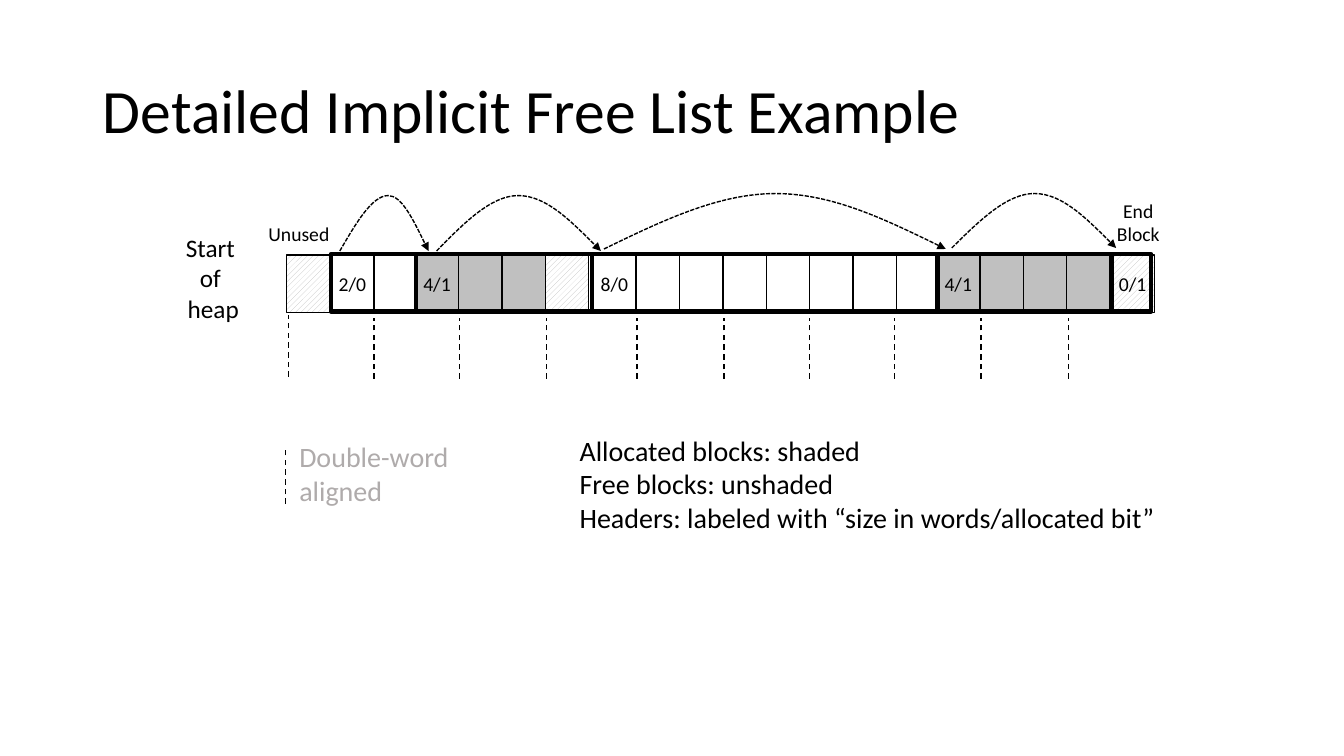
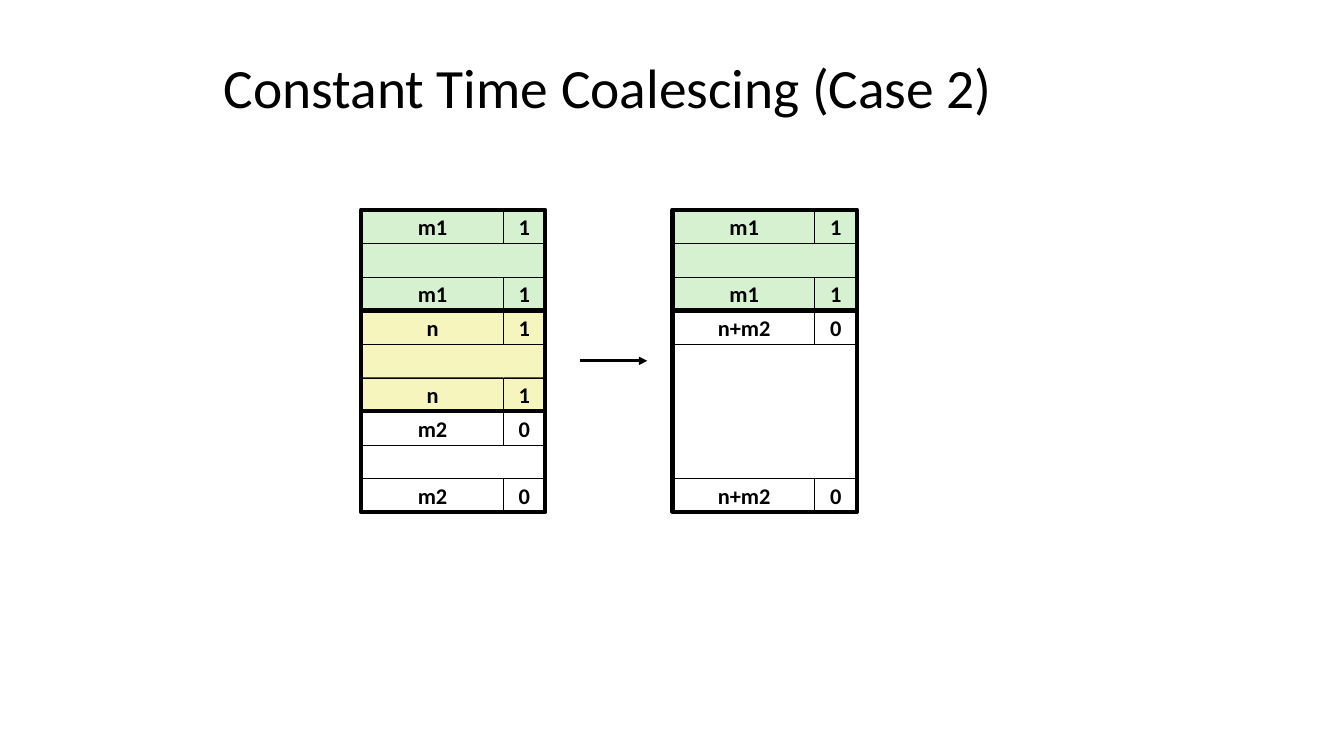
from lxml import etree
from pptx import Presentation
from pptx.dml.color import RGBColor
from pptx.enum.dml import MSO_LINE, MSO_PATTERN
from pptx.enum.shapes import MSO_CONNECTOR, MSO_SHAPE
from pptx.enum.text import MSO_ANCHOR, MSO_AUTO_SIZE, PP_ALIGN
from pptx.oxml.ns import qn
from pptx.util import Inches, Pt

BLACK = RGBColor(0x00, 0x00, 0x00)
WHITE = RGBColor(0xFF, 0xFF, 0xFF)
SHADED = RGBColor(0xC0, 0xC0, 0xC0)
MUTED = RGBColor(0xAF, 0xAB, 0xAB)
GREEN = RGBColor(0xD5, 0xF1, 0xCF)
YELLOW = RGBColor(0xF6, 0xF5, 0xBD)
HATCH = MSO_PATTERN.WIDE_UPWARD_DIAGONAL
RECT = MSO_SHAPE.RECTANGLE
STRAIGHT = MSO_CONNECTOR.STRAIGHT
DASH = MSO_LINE.DASH
SHORT_DASH = MSO_LINE.SQUARE_DOT
LEFT = PP_ALIGN.LEFT
CENTER = PP_ALIGN.CENTER
TOP = MSO_ANCHOR.TOP
MIDDLE = MSO_ANCHOR.MIDDLE
FONT = "Calibri"


def add_box(s, left, top, width, height, fill, weight, text="", size=14, bold=False):
    sp = s.shapes.add_shape(RECT, Inches(left), Inches(top), Inches(width), Inches(height))
    sp.shadow.inherit = False
    sp.line.color.rgb = BLACK
    sp.line.width = Pt(weight)
    if fill is None:
        sp.fill.background()
    elif fill == HATCH:
        sp.fill.patterned()
        sp.fill.pattern = HATCH
        sp.fill.fore_color.rgb = SHADED
        sp.fill.back_color.rgb = WHITE
    else:
        sp.fill.solid()
        sp.fill.fore_color.rgb = fill
    if text:
        tf = sp.text_frame
        tf.word_wrap = False
        tf.vertical_anchor = MIDDLE
        p = tf.paragraphs[0]
        p.text = text
        p.alignment = CENTER
        p.font.name = FONT
        p.font.size = Pt(size)
        p.font.bold = bold
        p.font.color.rgb = BLACK


def style_line(sp, weight, dash=None, arrow=False):
    sp.line.color.rgb = BLACK
    sp.line.width = Pt(weight)
    if dash:
        sp.line.dash_style = dash
    spPr = sp._element.spPr
    if arrow:
        etree.SubElement(spPr.find(qn("a:ln")), qn("a:tailEnd"), type="triangle")
    etree.SubElement(spPr, qn("a:effectLst"))


prs = Presentation()
prs.slide_width = Inches(13.33)
prs.slide_height = Inches(7.5)

titles = [
    ("Detailed Implicit Free List Example", 0.92, 0.4, 11.5, 1.45, 44),
    ("Constant Time Coalescing (Case 2)", 2.12, 0.58, 9.08, 0.63, 39.6),
]
for text, left, top, width, height, size in titles:
    s = prs.slides.add_slide(prs.slide_layouts[5])
    title = s.shapes.title
    title.left, title.top = Inches(left), Inches(top)
    title.width, title.height = Inches(width), Inches(height)
    tf = title.text_frame
    tf.text = text
    tf.auto_size = MSO_AUTO_SIZE.NONE
    tf.vertical_anchor = MIDDLE
    p = tf.paragraphs[0]
    p.alignment = LEFT
    p.line_spacing = 0.9
    p.font.name = FONT
    p.font.size = Pt(size)
    p.font.color.rgb = BLACK

heap, coalescing = prs.slides

CELL = 0.43
CELL_H = 0.57
heap_blocks = [
    ("2/0", 3.28, [WHITE] * 2, 3.28, 0.85),
    ("4/1", 4.12, [SHADED] * 3 + [HATCH], 4.13, 1.74),
    ("8/0", 5.88, [WHITE] * 8, 5.87, 3.43),
    ("4/1", 9.29, [SHADED] * 4, 9.3, 1.73),
    ("0/1", 11.02, [HATCH], 11.02, 0.4),
]
add_box(heap, 2.84, 2.53, CELL, CELL_H, HATCH, 1)
for label, left, fills, _, _ in heap_blocks:
    for i, fill in enumerate(fills):
        add_box(heap, left + i * CELL, 2.53, CELL, CELL_H, fill, 1, label if i == 0 else "")
for _, _, _, left, width in heap_blocks:
    add_box(heap, left, 2.52, width, CELL_H, None, 3)

arcs = [
    (3.37, 3.85, 4.25, 1.94, 2.49),
    (4.33, 5.14, 5.96, 1.94, 2.49),
    (5.99, 7.69, 9.38, 1.92, 2.47),
    (9.44, 10.26, 11.07, 1.92, 2.46),
]
for x0, apex, x1, top, base in arcs:
    mid = (top + base) / 2
    rise, fall = (apex - x0) / 3, (x1 - apex) / 3
    points = [
        (x0 + rise, mid), (x0 + 2 * rise, top), (apex, top),
        (apex + fall, top), (apex + 2 * fall, mid), (x1, base),
    ]
    builder = heap.shapes.build_freeform(Inches(x0), Inches(base))
    builder.add_line_segments([(Inches(x), Inches(y)) for x, y in points], close=False)
    arc = builder.convert_to_shape()
    arc.fill.background()
    segments = list(arc._element.iter(qn("a:lnTo")))
    outline = segments[0].getparent()
    for i in (0, 3):
        curve = etree.SubElement(outline, qn("a:cubicBezTo"))
        for segment in segments[i:i + 3]:
            curve.append(segment[0])
            outline.remove(segment)
    style_line(arc, 1, SHORT_DASH, arrow=True)

ticks = [(x, 3.76, 3.15) for x in (3.71, 4.56, 5.42, 6.32, 7.18, 8.03, 8.87, 9.73, 10.6)]
for x, y0, y1 in [(2.86, 3.74, 3.13), *ticks, (2.83, 5, 4.45)]:
    tick = heap.shapes.add_connector(STRAIGHT, Inches(x), Inches(y0), Inches(x), Inches(y1))
    style_line(tick, 1, DASH)

labels = [
    (["Start ", "of ", "heap"], 1.74, 2.25, 0.75, 1.01, 18, BLACK, CENTER, MIDDLE),
    (["Unused"], 2.56, 2.15, 0.81, 0.34, 14, BLACK, CENTER, MIDDLE),
    (["End", "Block"], 10.97, 1.92, 0.64, 0.57, 14, BLACK, CENTER, MIDDLE),
    (["Double-word", "aligned"], 2.87, 4.31, 2.04, 0.77, 20, MUTED, LEFT, MIDDLE),
    (["Allocated blocks: shaded", "Free blocks: unshaded",
      "Headers: labeled with “size in words/allocated bit”"],
     5.65, 4.25, 5.97, 1.11, 20, BLACK, LEFT, TOP),
]
for lines, left, top, width, height, size, color, align, anchor in labels:
    sp = heap.shapes.add_textbox(Inches(left), Inches(top), Inches(width), Inches(height))
    tf = sp.text_frame
    tf.text = "\n".join(lines)
    tf.word_wrap = False
    tf.auto_size = MSO_AUTO_SIZE.SHAPE_TO_FIT_TEXT
    tf.vertical_anchor = anchor
    for p in tf.paragraphs:
        p.alignment = align
        p.font.name = FONT
        p.font.size = Pt(size)
        p.font.color.rgb = color

ROW = 1 / 3
SIZE_W, BIT_W = 1.42, 0.42
BLOCK_W = 1.83
columns = [
    (3.58, [("m1", "1", GREEN, 3), ("n", "1", YELLOW, 3), ("m2", "0", WHITE, 3)]),
    (6.67, [("m1", "1", GREEN, 3), ("n+m2", "0", WHITE, 6)]),
]
for left, blocks in columns:
    top = 2.08
    for size_text, bit, fill, rows in blocks:
        add_box(coalescing, left, top + ROW, BLOCK_W, (rows - 2) * ROW, fill, 0.25)
        for y in (top, top + (rows - 1) * ROW):
            add_box(coalescing, left, y, SIZE_W, ROW, fill, 0.25, size_text, 16, True)
            add_box(coalescing, left + BLOCK_W - BIT_W, y, BIT_W, ROW, fill, 0.25, bit, 16, True)
        add_box(coalescing, left, top, BLOCK_W, rows * ROW, None, 3)
        top += rows * ROW

arrow = coalescing.shapes.add_connector(
    STRAIGHT, Inches(5.75), Inches(3.58), Inches(6.42), Inches(3.58))
style_line(arrow, 2, arrow=True)

prs.save("out.pptx")
